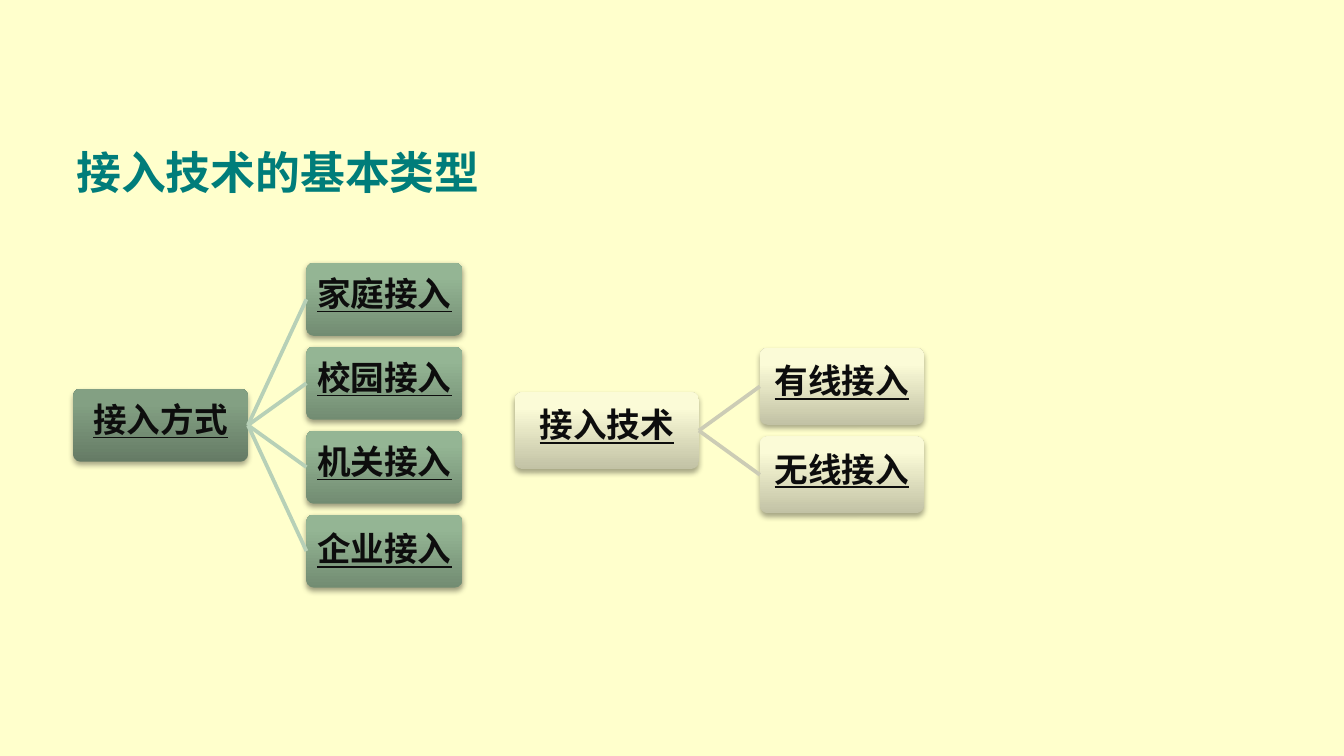
from dataclasses import dataclass

from lxml.etree import SubElement
from pptx import Presentation
from pptx.dml.color import RGBColor
from pptx.enum.shapes import MSO_CONNECTOR, MSO_SHAPE
from pptx.enum.text import MSO_ANCHOR, PP_ALIGN
from pptx.oxml.ns import qn
from pptx.shapes.autoshape import Shape
from pptx.slide import Slide
from pptx.text.text import Font, TextFrame
from pptx.util import Inches, Length, Pt


@dataclass(frozen=True)
class Tone:
    stops: tuple[str, str, str]
    alpha: int
    drop: float


@dataclass(frozen=True)
class Theme:
    back: str = "FFFFCC"
    title: str = "007D7A"
    ink: str = "0D0D0D"
    latin: str = "Times New Roman"
    asian: str = "Noto Sans CJK SC"
    head: int = 24
    body: int = 18
    line: int = 2
    blur: float = 3.1
    step: float = 1.15
    deep: Tone = Tone(("657B65", "83A083", "83A183"), 35, 1.8)
    green: Tone = Tone(("728C72", "94B594", "94B794"), 38, 1.6)
    cream: Tone = Tone(("C2C2A5", "FBFBD7", "FDFDD7"), 35, 1.8)


@dataclass(frozen=True)
class Node:
    text: str
    lead: float = 0.6


@dataclass(frozen=True)
class Tree:
    root: Node
    nodes: tuple[Node, ...]
    left: float
    wide: float
    leaf: float
    span: float
    mid: float
    high: float
    tone: Tone
    tint: Tone
    link: str


THEME = Theme()
COLS = 100
WIDTH = 10
HEIGHT = WIDTH * 9 / 16

TREES = (
    Tree(Node("接入方式"),
         (Node("家庭接入"), Node("校园接入"), Node("机关接入"), Node("企业接入", 0.9)),
         5.45, 13, 22.8, 11.6, 31.64, 5.43, THEME.deep, THEME.green, "B7D0B7"),
    Tree(Node("接入技术"), (Node("有线接入"), Node("无线接入")),
         38.3, 13.7, 56.54, 12.2, 32.04, 5.72, THEME.cream, THEME.cream, "CCCCB5"),
)


def grid(cells: float) -> Length:
    return Inches(cells * WIDTH / COLS)


def style(font: Font, face: str, size: int, color: str) -> None:
    font.name, font.size, font.bold = face, Pt(size), True
    font.color.rgb = RGBColor.from_string(color)
    SubElement(font._element, qn("a:ea"), typeface=THEME.asian)


def inset(frame: TextFrame, gap: float) -> None:
    frame.margin_left = frame.margin_right = grid(gap)
    frame.margin_top = frame.margin_bottom = grid(gap)


def paint(shape: Shape, tone: Tone) -> None:
    shape.fill.gradient()
    shape.fill.gradient_angle = 90
    stops = shape._element.spPr.find(qn("a:gradFill")).find(qn("a:gsLst"))
    stops.clear()
    for place, color in zip((0, 80, 100), tone.stops):
        stop = SubElement(stops, qn("a:gs"), pos=str(place * 1000))
        SubElement(stop, qn("a:srgbClr"), val=color)
    shape.line.fill.background()
    shape.shadow.inherit = False
    shade = SubElement(shape._element.spPr.find(qn("a:effectLst")), qn("a:outerShdw"),
                       blurRad=str(Pt(THEME.blur)), dist=str(Pt(tone.drop)),
                       dir="5400000", rotWithShape="0")
    color = SubElement(shade, qn("a:srgbClr"), val="000000")
    SubElement(color, qn("a:alpha"), val=str(tone.alpha * 1000))


def box(slide: Slide, node: Node, left: float, mid: float,
        wide: float, high: float, tone: Tone) -> Shape:
    shape = slide.shapes.add_shape(MSO_SHAPE.ROUNDED_RECTANGLE, grid(left),
                                   grid(mid - high / 2), grid(wide), grid(high))
    shape.adjustments[0] = 0.1
    paint(shape, tone)
    frame = shape.text_frame
    frame.text = node.text
    frame.word_wrap = True
    frame.vertical_anchor = MSO_ANCHOR.MIDDLE
    inset(frame, 0.2)
    para = frame.paragraphs[0]
    para.alignment, para.line_spacing = PP_ALIGN.CENTER, node.lead
    font = para.runs[0].font
    style(font, THEME.asian, THEME.body, THEME.ink)
    font.underline = True
    return shape


def join(slide: Slide, root: Shape, leaf: Shape, color: str) -> None:
    link = slide.shapes.add_connector(MSO_CONNECTOR.STRAIGHT, 0, 0, 0, 0)
    link.begin_connect(root, 3)
    link.end_connect(leaf, 1)
    link.line.color.rgb = RGBColor.from_string(color)
    link.line.width = Pt(THEME.line)
    SubElement(link._element.spPr, qn("a:effectLst"))


def draw(slide: Slide, tree: Tree) -> None:
    root = box(slide, tree.root, tree.left, tree.mid, tree.wide, tree.high, tree.tone)
    pitch = tree.high * THEME.step
    top = tree.mid - pitch * (len(tree.nodes) - 1) / 2
    for row, node in enumerate(tree.nodes):
        leaf = box(slide, node, tree.leaf, top + row * pitch,
                   tree.span, tree.high, tree.tint)
        join(slide, root, leaf, tree.link)


def head(slide: Slide, text: str) -> None:
    frame = slide.shapes.add_textbox(grid(4.7), grid(6.8), grid(85), grid(12)).text_frame
    frame.text = text
    frame.word_wrap = True
    frame.vertical_anchor = MSO_ANCHOR.MIDDLE
    style(frame.paragraphs[0].runs[0].font, THEME.latin, THEME.head, THEME.title)


def main() -> None:
    deck = Presentation()
    deck.slide_width, deck.slide_height = Inches(WIDTH), Inches(HEIGHT)
    slide = deck.slides.add_slide(deck.slide_layouts[6])
    slide.background.fill.solid()
    slide.background.fill.fore_color.rgb = RGBColor.from_string(THEME.back)
    head(slide, "接入技术的基本类型")
    for tree in TREES:
        draw(slide, tree)
    deck.save("out.pptx")


if __name__ == "__main__":
    main()
